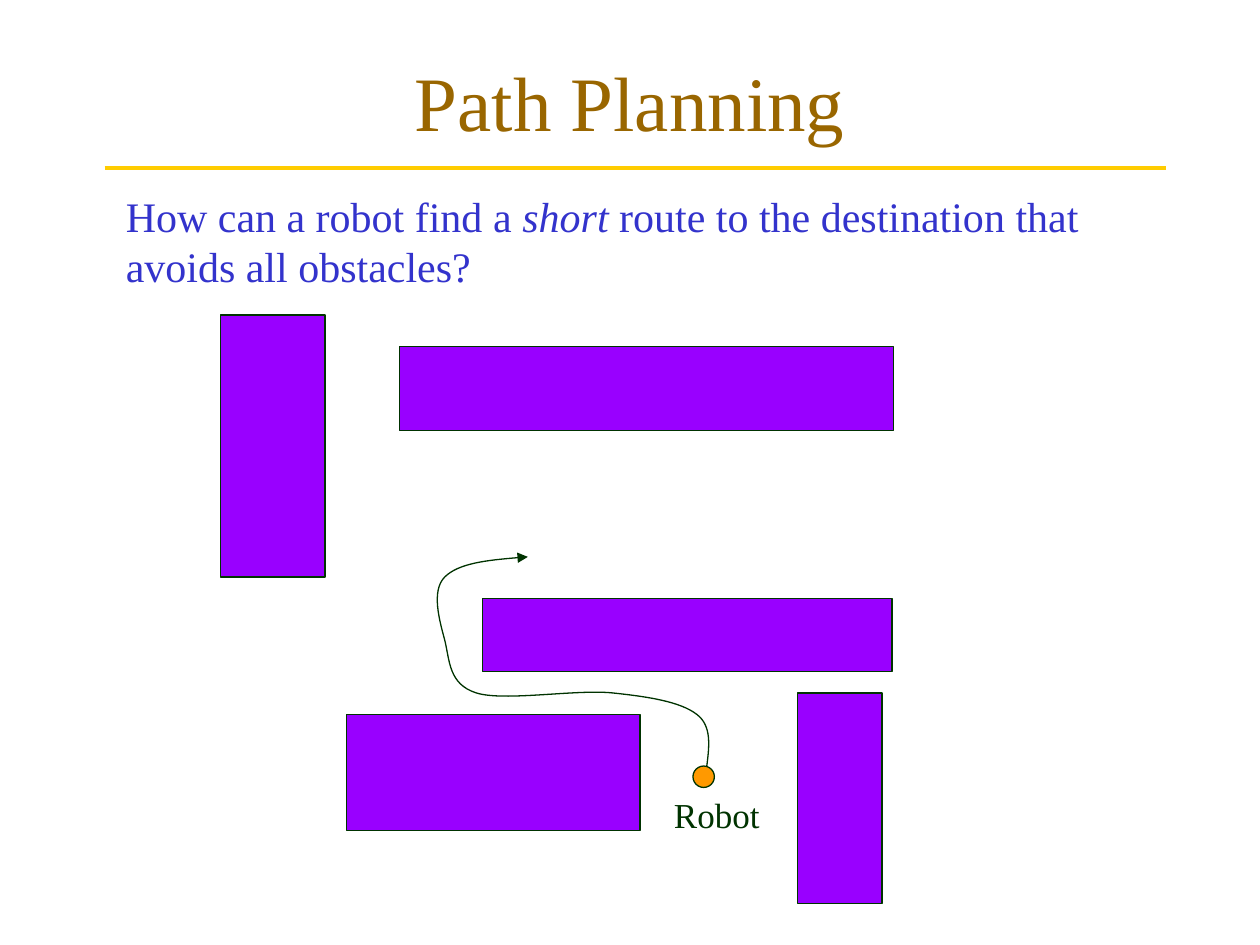
"""Build the Path Planning slide: a robot's route around obstacles."""
from lxml import etree
from pptx import Presentation
from pptx.dml.color import RGBColor
from pptx.enum import shapes, text
from pptx.oxml.ns import qn
from pptx.util import Inches, Pt

FONT = "Times New Roman"
BROWN = RGBColor(0x99, 0x66, 0x00)
BLUE = RGBColor(0x33, 0x33, 0xCC)
DARK_GREEN = RGBColor(0x00, 0x33, 0x00)
PURPLE = RGBColor(0x99, 0x00, 0xFF)
ORANGE = RGBColor(0xFF, 0x99, 0x00)
GOLD = RGBColor(0xFF, 0xCC, 0x00)

OBSTACLES = [
    (3.17, 2.75, 3.92, 0.67),
    (1.75, 2.5, 0.83, 2.08),
    (2.75, 5.67, 2.33, 0.92),
    (3.83, 4.75, 3.25, 0.58),
    (6.33, 5.5, 0.67, 1.67),
]
ROUTE_START = (5.61, 6.08)
ROUTE_CURVES = [
    (5.63, 5.92), (5.65, 5.76), (5.53, 5.67),
    (5.4, 5.57), (5.15, 5.53), (4.86, 5.5),
    (4.57, 5.47), (4, 5.57), (3.78, 5.5),
    (3.56, 5.43), (3.57, 5.24), (3.53, 5.08),
    (3.49, 4.93), (3.42, 4.69), (3.53, 4.58),
    (3.64, 4.47), (3.92, 4.44), (4.19, 4.42),
]


def add_text(slide, box, lines, *, size, color, align=text.PP_ALIGN.LEFT,
             anchor=text.MSO_ANCHOR.TOP, wrap=False):
    """Add a text box; each line is a list of (words, italic) runs."""
    frame = slide.shapes.add_textbox(*map(Inches, box)).text_frame
    frame.word_wrap = wrap
    frame.vertical_anchor = anchor
    for index, runs in enumerate(lines):
        paragraph = frame.paragraphs[0] if index == 0 else frame.add_paragraph()
        paragraph.alignment = align
        for words, italic in runs:
            run = paragraph.add_run()
            run.text = words
            run.font.name = FONT
            run.font.size = Pt(size)
            run.font.italic = italic
            run.font.color.rgb = color


def add_outlined(slide, kind, box, fill):
    """Add a filled shape with a thin dark outline."""
    shape = slide.shapes.add_shape(kind, *map(Inches, box))
    shape.shadow.inherit = False
    shape.fill.solid()
    shape.fill.fore_color.rgb = fill
    shape.line.color.rgb = DARK_GREEN
    shape.line.width = Pt(0.75)


def add_rule(slide, start, end):
    """Add the gold line below the title."""
    rule = slide.shapes.add_connector(
        shapes.MSO_CONNECTOR.STRAIGHT, *map(Inches, start + end))
    rule.line.color.rgb = GOLD
    rule.line.width = Pt(2.25)
    etree.SubElement(rule._element.spPr, qn("a:effectLst"))


def add_route(slide, start, points):
    """Add a curved arrow; every three points make one Bezier curve."""
    builder = slide.shapes.build_freeform(*map(Inches, start))
    builder.add_line_segments(
        [(Inches(x), Inches(y)) for x, y in points], close=False)
    route = builder.convert_to_shape()
    route.shadow.inherit = False
    route.fill.background()
    route.line.color.rgb = DARK_GREEN
    route.line.width = Pt(0.75)
    etree.SubElement(route.line._get_or_add_ln(), qn("a:tailEnd"), type="triangle")

    segments = list(route._element.iter(qn("a:lnTo")))
    for first in range(0, len(segments), 3):
        curve = etree.Element(qn("a:cubicBezTo"))
        segments[first].addprevious(curve)
        for segment in segments[first:first + 3]:
            curve.append(segment[0])
            segment.getparent().remove(segment)


def main():
    """Build and save the slide."""
    deck = Presentation()
    deck.slide_width, deck.slide_height = Inches(10), Inches(7.5)
    slide = deck.slides.add_slide(deck.slide_layouts[6])

    add_text(slide, (0.75, 0.17, 8.5, 1.25), [[("Path Planning", False)]],
             size=44, color=BROWN, align=text.PP_ALIGN.CENTER,
             anchor=text.MSO_ANCHOR.MIDDLE, wrap=True)
    for obstacle in OBSTACLES:
        add_outlined(slide, shapes.MSO_SHAPE.RECTANGLE, obstacle, PURPLE)
    add_outlined(slide, shapes.MSO_SHAPE.OVAL, (5.5, 6.08, 0.17, 0.17), ORANGE)
    add_text(slide, (5.25, 6.25, 0.88, 0.43), [[("Robot", False)]],
             size=20, color=DARK_GREEN)
    add_rule(slide, (0.83, 1.33), (9.25, 1.33))
    question = [
        [("How can a robot find a ", False), ("short ", True),
         ("route to the destination that", False)],
        [("avoids all obstacles?", False)],
    ]
    add_text(slide, (0.9, 1.46, 7.84, 0.9), question, size=24, color=BLUE)
    add_route(slide, ROUTE_START, ROUTE_CURVES)

    deck.save("out.pptx")


if __name__ == "__main__":
    main()
